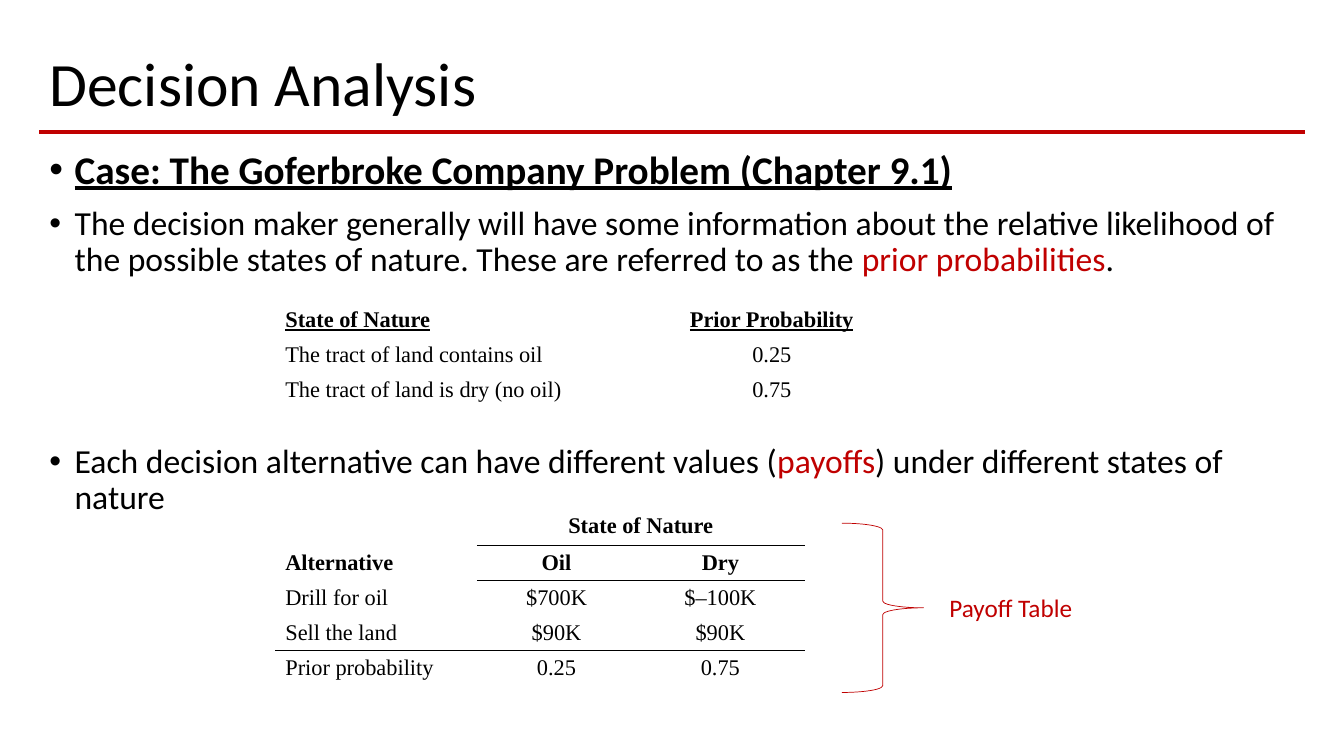
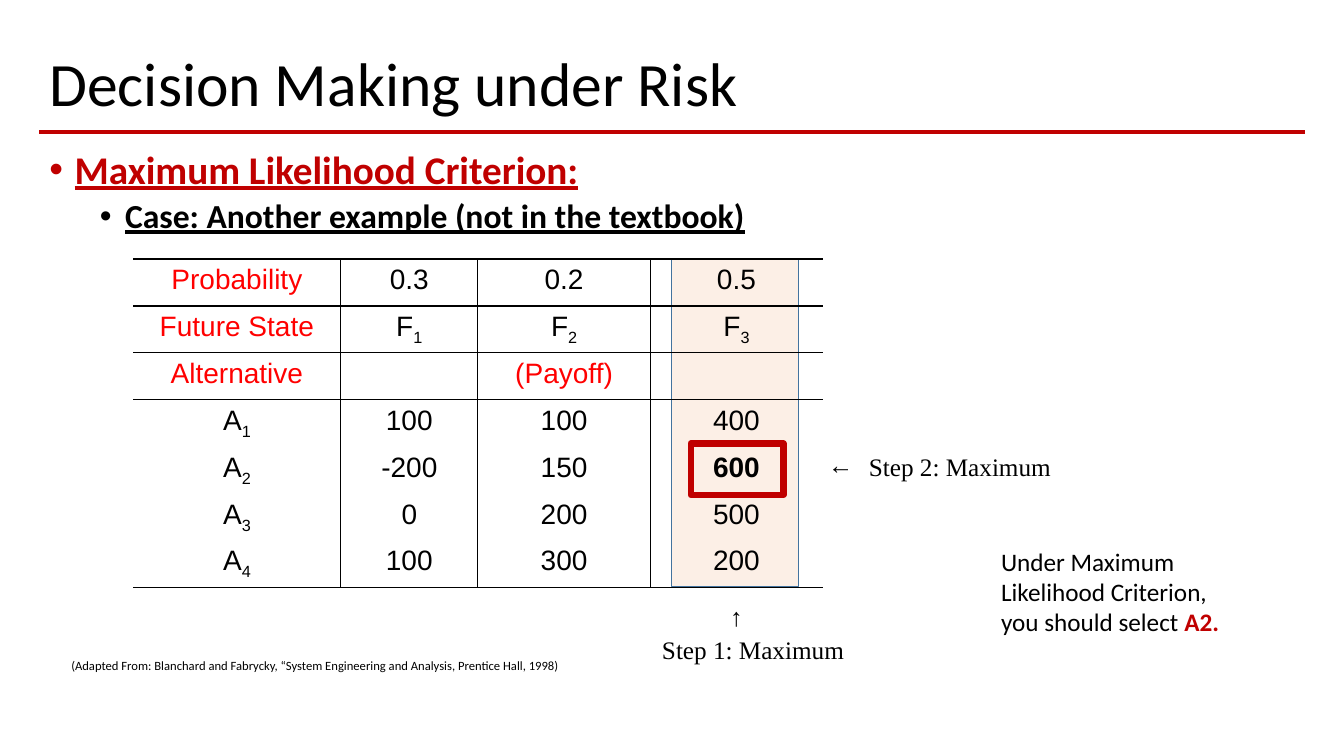
from dataclasses import dataclass

from lxml import etree
from pptx import Presentation
from pptx.dml.color import RGBColor
from pptx.enum.shapes import MSO_CONNECTOR, MSO_SHAPE
from pptx.enum.text import MSO_AUTO_SIZE, PP_ALIGN
from pptx.oxml.ns import qn
from pptx.util import Pt

LEFT, CENTER, RIGHT = PP_ALIGN.LEFT, PP_ALIGN.CENTER, PP_ALIGN.RIGHT
FIXED, GROW = MSO_AUTO_SIZE.NONE, MSO_AUTO_SIZE.SHAPE_TO_FIT_TEXT
RECTANGLE, BRACE = MSO_SHAPE.RECTANGLE, MSO_SHAPE.RIGHT_BRACE
STRAIGHT = MSO_CONNECTOR.STRAIGHT
NO_STYLE = "{2D5ABB26-0587-4C30-8999-92F81FD0307C}"
PX = 9144


@dataclass(frozen=True)
class Theme:
    ink: str = "000000"
    accent: str = "C00000"
    label: str = "FF0000"
    highlight: str = "F8CBAD"
    outline: str = "43739E"
    sans: str = "Calibri"
    serif: str = "Times New Roman"
    grid: str = "Arial"
    title: int = 44
    heading: int = 28
    body: int = 24
    payoff: int = 20
    note: int = 18
    table: int = 16
    source: int = 9


theme = Theme()


def write(frame, *pieces, size, font=theme.sans, color=theme.ink, bold=False,
          underline=False, align=LEFT, before=0, spacing=1.0, level=None):
    para = frame.add_paragraph() if frame.text else frame.paragraphs[0]
    para.alignment = align
    para.space_before = Pt(before)
    para.line_spacing = spacing
    if level is not None:
        para.level = level
        props = para._p.get_or_add_pPr()
        props.set("marL", str((25 + 50 * level) * PX))
        props.set("indent", str(-25 * PX))
        etree.SubElement(props, qn("a:buFont"), typeface="Arial")
        etree.SubElement(props, qn("a:buChar"), char="•")
    for piece in pieces:
        text, change = (piece, {}) if isinstance(piece, str) else piece
        if not text:
            etree.SubElement(para._p, qn("a:endParaRPr"), sz=str(size * 100))
            continue
        span = para.add_run()
        span.text = text
        span.font.name = font
        span.font.size = Pt(size)
        span.font.bold = change.get("bold", bold)
        span.font.underline = change.get("underline", underline)
        span.font.color.rgb = RGBColor.from_string(change.get("color", color))
        if "baseline" in change:
            span._r.get_or_add_rPr().set("baseline", change["baseline"])


def add_grid(page, rows, place, columns, borders, first=LEFT, **style):
    left, top, height = (value * PX for value in place)
    table = page.shapes.add_table(len(rows), len(columns), left, top,
                                  sum(columns) * PX, height).table
    table._tbl.tblPr.find(qn("a:tableStyleId")).text = NO_STYLE
    table.first_row = table.horz_banding = False
    for column, width in zip(table.columns, columns):
        column.width = width * PX
    for r, row in enumerate(rows):
        for c, content in enumerate(row):
            cell = table.cell(r, c)
            pieces = content if isinstance(content, list) else [content]
            write(cell.text_frame, *pieces, align=CENTER if c else first, **style)
            props = cell._tc.get_or_add_tcPr()
            for side in "LRTB":
                if (r, c, side) in borders:
                    line = etree.SubElement(props, qn("a:ln" + side), w=str(Pt(1)))
                    fill = etree.SubElement(line, qn("a:solidFill"))
                    etree.SubElement(fill, qn("a:srgbClr"), val=theme.ink)
            cell.fill.background()
    return table


RED = {"color": theme.accent}
LABEL = {"color": theme.label}
BOLD = {"bold": True}
HEAD = {"bold": True, "underline": True}
SUB = {"baseline": "-25000"}

deck = Presentation()
deck.slide_width, deck.slide_height = 1333 * PX, 750 * PX
layout = deck.slide_layouts[1]
for index, place in enumerate([(39, 40, 1255, 92), (39, 144, 1255, 532)]):
    holder = layout.placeholders[index]
    holder.left, holder.top, holder.width, holder.height = (v * PX for v in place)

contents = [
    ("Decision Analysis", [
        (["Case: The Goferbroke Company Problem (Chapter 9.1)"],
         dict(size=theme.heading, bold=True, underline=True, level=0)),
        (["The decision maker generally will have some information about the "
          "relative likelihood of the possible states of nature. These are "
          "referred to as the ", ("prior probabilities", RED), "."],
         dict(size=theme.body, before=10, level=0)),
        (["Each decision alternative can have different values (",
          ("payoffs", RED), ") under different states of nature"],
         dict(size=theme.body, before=118, level=0)),
    ]),
    ("Decision Making under Risk", [
        (["Maximum Likelihood Criterion:"],
         dict(size=theme.heading, color=theme.accent, bold=True,
              underline=True, level=0)),
        (["Case: Another example (not in the textbook)"],
         dict(size=theme.body, bold=True, underline=True, before=5, level=1)),
    ]),
]
pages = []
for title, bullets in contents:
    page = deck.slides.add_slide(layout)
    heading, body = (holder.text_frame for holder in page.placeholders)
    heading.auto_size = body.auto_size = FIXED
    write(heading, title, size=theme.title, spacing=0.9)
    for pieces, style in bullets:
        write(body, *pieces, spacing=0.9, **style)
    pages.append(page)
analysis, risk = pages

rule = analysis.shapes.add_connector(STRAIGHT, 39 * PX, 131 * PX, 1294 * PX, 131 * PX)
rule.line.color.rgb = RGBColor.from_string(theme.accent)
rule.line.width = Pt(2.25)
etree.SubElement(rule.element.spPr, qn("a:effectLst"))
layout.shapes.element.append(rule.element)

shapes = [
    (analysis, BRACE, (835, 519, 81, 168), None, theme.accent, 0.5),
    (risk, RECTANGLE, (666, 257, 126, 325), theme.highlight, theme.outline, 1),
    (risk, RECTANGLE, (685, 440, 92, 51), None, theme.accent, 4.5),
]
for page, kind, place, fill, line, width in shapes:
    shape = page.shapes.add_shape(kind, *(v * PX for v in place))
    shape.shadow.inherit = False
    shape.line.color.rgb = RGBColor.from_string(line)
    shape.line.width = Pt(width)
    if fill:
        shape.fill.solid()
        shape.fill.fore_color.rgb = RGBColor.from_string(fill)
        color = shape.element.spPr.find(qn("a:solidFill"))[0]
        etree.SubElement(color, qn("a:alpha"), val="30000")
    else:
        shape.fill.background()

serif_table = dict(size=theme.table, font=theme.serif)
priors = [
    [[("State of Nature", HEAD)], [("Prior Probability", HEAD)]],
    ["The tract of land contains oil", "0.25"],
    ["The tract of land is dry (no oil)", "0.75"],
]
add_grid(analysis, priors, (273, 300, 104), [343, 299], set(), **serif_table)

payoffs = [
    ["", [("State of Nature", BOLD)], ""],
    [[("Alternative", BOLD)], [("Oil", BOLD)], [("Dry", BOLD)]],
    ["Drill for oil", "$700K", "$–100K"],
    ["Sell the land", "$90K", "$90K"],
    ["Prior probability", "0.25", "0.75"],
]
lines = {(r + below, c, side) for r, first in ((0, 1), (3, 0))
         for c in range(first, 3) for below, side in enumerate("BT")}
table = add_grid(analysis, payoffs, (273, 504, 173), [200, 158, 167], lines,
                 **serif_table)
table.cell(0, 1).merge(table.cell(0, 2))

results = [("100", "100", "400"), ("-200", "150", [("600", BOLD)]),
           ("0", "200", "500"), ("100", "300", "200")]
criterion = [
    [[("Probability", LABEL)], "0.3", "0.2", "0.5"],
    [[("Future State", LABEL)], *(["F", (n, SUB)] for n in "123")],
    [[("Alternative", LABEL)], "", [("(Payoff)", LABEL)], ""],
    *([["A", (str(n), SUB)], *row] for n, row in enumerate(results, 1)),
]
lines = {(r, c, side) for c in range(4)
         for r, side in ((0, "T"), (0, "B"), (1, "T"), (1, "B"), (2, "T"), (6, "B"))}
lines |= {(r, c + right, side) for r in range(7) for c in range(3)
          for right, side in enumerate("RL")}
add_grid(risk, criterion, (132, 257, 326), [206, 136, 171, 171], lines,
         first=CENTER, size=theme.payoff, font=theme.grid)

step = dict(size=theme.note, font=theme.serif)
labels = [
    (analysis, (900, 583, 205, 40), True, 0, ["Payoff Table"],
     dict(size=theme.note, color=theme.accent, align=CENTER)),
    (risk, (644, 624, 203, 40), False, 0, ["Step 1: Maximum"],
     dict(step, align=RIGHT)),
    (risk, (852, 443, 203, 40), False, 0, ["Step 2: Maximum"], step),
    (risk, (713, 592, 35, 40), False, 0, ["↑"], dict(step, align=CENTER)),
    (risk, (813, 446, 35, 40), False, 270, ["↑"], dict(step, align=CENTER)),
    (risk, (983, 537, 252, 101), True, 0,
     ["Under Maximum Likelihood Criterion, you should select ",
      ("A2.", RED | BOLD)], dict(size=theme.note)),
    (risk, (57, 648, 510, 25), False, 0,
     ["(Adapted From: Blanchard and Fabrycky, “System Engineering and Analysis, "
      "Prentice Hall, 1998)"], dict(size=theme.source, align=CENTER)),
]
for page, place, wrap, turn, pieces, style in labels:
    box = page.shapes.add_textbox(*(v * PX for v in place))
    box.rotation = turn
    box.text_frame.word_wrap = wrap
    box.text_frame.auto_size = GROW
    write(box.text_frame, *pieces, **style)

deck.save("out.pptx")
